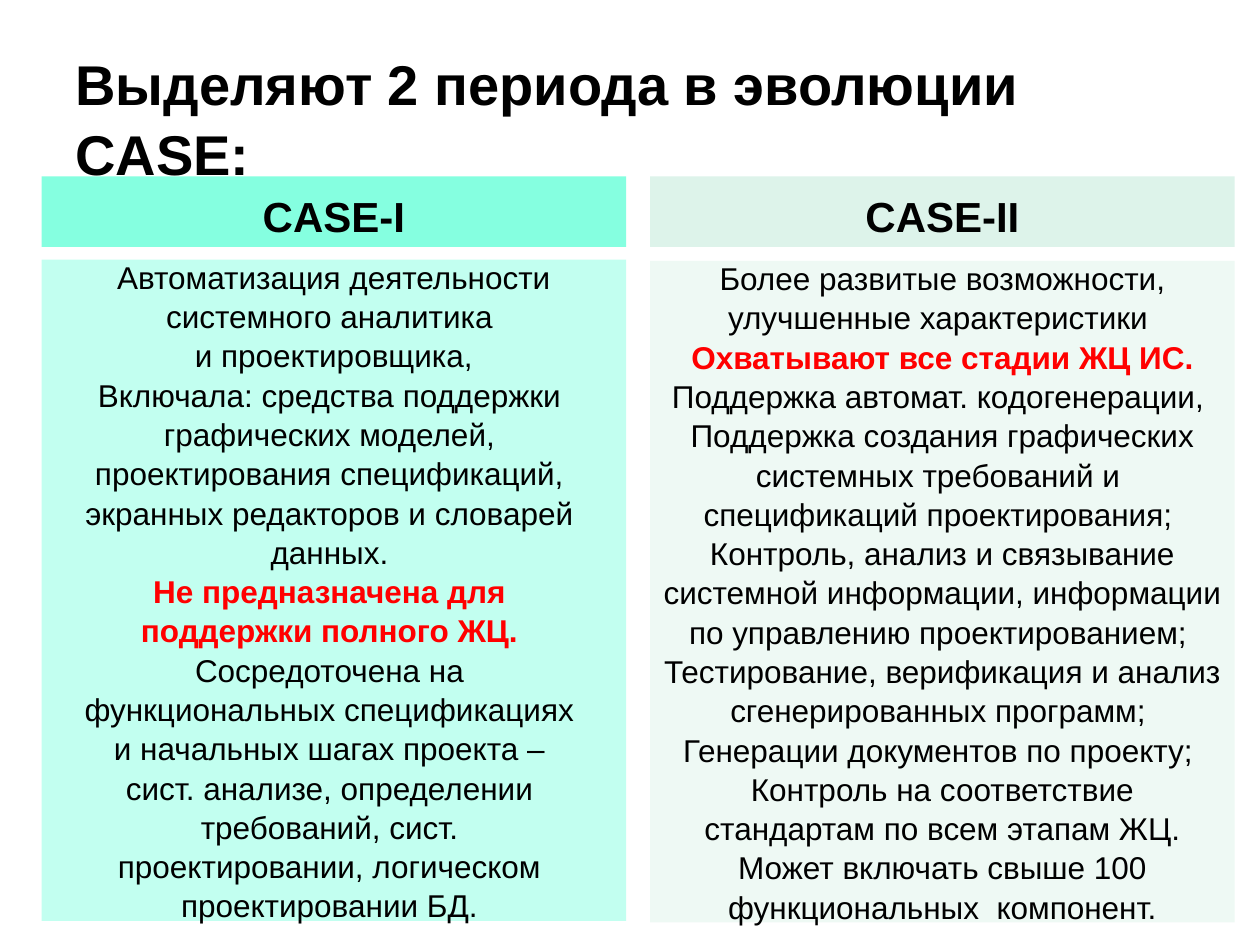
from pptx import Presentation
from pptx.dml.color import RGBColor
from pptx.enum.shapes import MSO_SHAPE
from pptx.enum.text import MSO_ANCHOR, PP_ALIGN
from pptx.util import Inches, Pt

RECT = MSO_SHAPE.RECTANGLE
MIDDLE, BOTTOM = MSO_ANCHOR.MIDDLE, MSO_ANCHOR.BOTTOM
LEFT, CENTER = PP_ALIGN.LEFT, PP_ALIGN.CENTER

FONT = "Arial"
BLACK, RED = "000000", "FF0000"
COL_W, HEAD_H, BODY_H = 4.64, 0.56, 5.25
HEAD_TOP = 1.4

# Each column: left, body top, head fill, body fill, head, lines, key lines
COLUMNS = [
    (0.33, 2.06, "85FFE0", "C2FFF0", "CASE-I", [
        "Автоматизация деятельности",
        "системного аналитика ",
        "и проектировщика,",
        "Включала: средства поддержки ",
        "графических моделей, ",
        "проектирования спецификаций, ",
        "экранных редакторов и словарей ",
        "данных. ",
        "Не предназначена для ",
        "поддержки полного ЖЦ. ",
        "Сосредоточена на ",
        "функциональных спецификациях ",
        "и начальных шагах проекта – ",
        "сист. анализе, определении ",
        "требований, сист. ",
        "проектировании, логическом ",
        "проектировании БД. ",
    ], (8, 9)),
    (5.16, 2.07, "DDF3EA", "EEF9F4", "CASE-II", [
        "Более развитые возможности,",
        "улучшенные характеристики ",
        "Охватывают все стадии ЖЦ ИС.",
        "Поддержка автомат. кодогенерации, ",
        "Поддержка создания графических системных требований и ",
        "спецификаций проектирования; ",
        "Контроль, анализ и связывание системной информации, "
        "информации по управлению проектированием; ",
        "Тестирование, верификация и анализ сгенерированных программ; ",
        "Генерации документов по проекту; ",
        "Контроль на соответствие стандартам по всем этапам ЖЦ.",
        "Может включать свыше 100 функциональных  компонент.",
    ], (2,)),
]


def color(code):
    return RGBColor.from_string(code)


def write(shape, lines, size, anchor, align, bold=False, keys=()):
    """Fill the shape with one paragraph per line; key lines are bold red."""
    frame = shape.text_frame
    frame.word_wrap = True
    frame.vertical_anchor = anchor
    frame.text = "\n".join(lines)
    for i, para in enumerate(frame.paragraphs):
        para.alignment = align
        para.line_spacing = 1.04
        for run in para.runs:
            font = run.font
            font.name = FONT
            font.size = Pt(size)
            font.bold = bold or i in keys
            font.color.rgb = color(RED if i in keys else BLACK)


def add_panel(slide, box, fill):
    panel = slide.shapes.add_shape(RECT, *map(Inches, box))
    panel.shadow.inherit = False
    panel.fill.solid()
    panel.fill.fore_color.rgb = color(fill)
    panel.line.fill.background()
    return panel


def add_column(slide, left, top, head_fill, body_fill, head, lines, keys):
    panel = add_panel(slide, (left, HEAD_TOP, COL_W, HEAD_H), head_fill)
    write(panel, [head], 24, BOTTOM, CENTER, bold=True)
    panel = add_panel(slide, (left, top, COL_W, BODY_H), body_fill)
    write(panel, lines, 18, MIDDLE, CENTER, keys=keys)


def add_title(slide, box, text):
    title = slide.shapes.add_textbox(*map(Inches, box))
    write(title, [text], 32, MIDDLE, LEFT, bold=True)


def main():
    deck = Presentation()
    deck.slide_width, deck.slide_height = Inches(10), Inches(7.5)
    slide = deck.slides.add_slide(deck.slide_layouts[6])
    for column in COLUMNS:
        add_column(slide, *column)
    add_title(slide, (0.5, 0.3, 9, 1.25), "Выделяют 2 периода в эволюции CASE:")
    deck.save("out.pptx")


if __name__ == "__main__":
    main()
